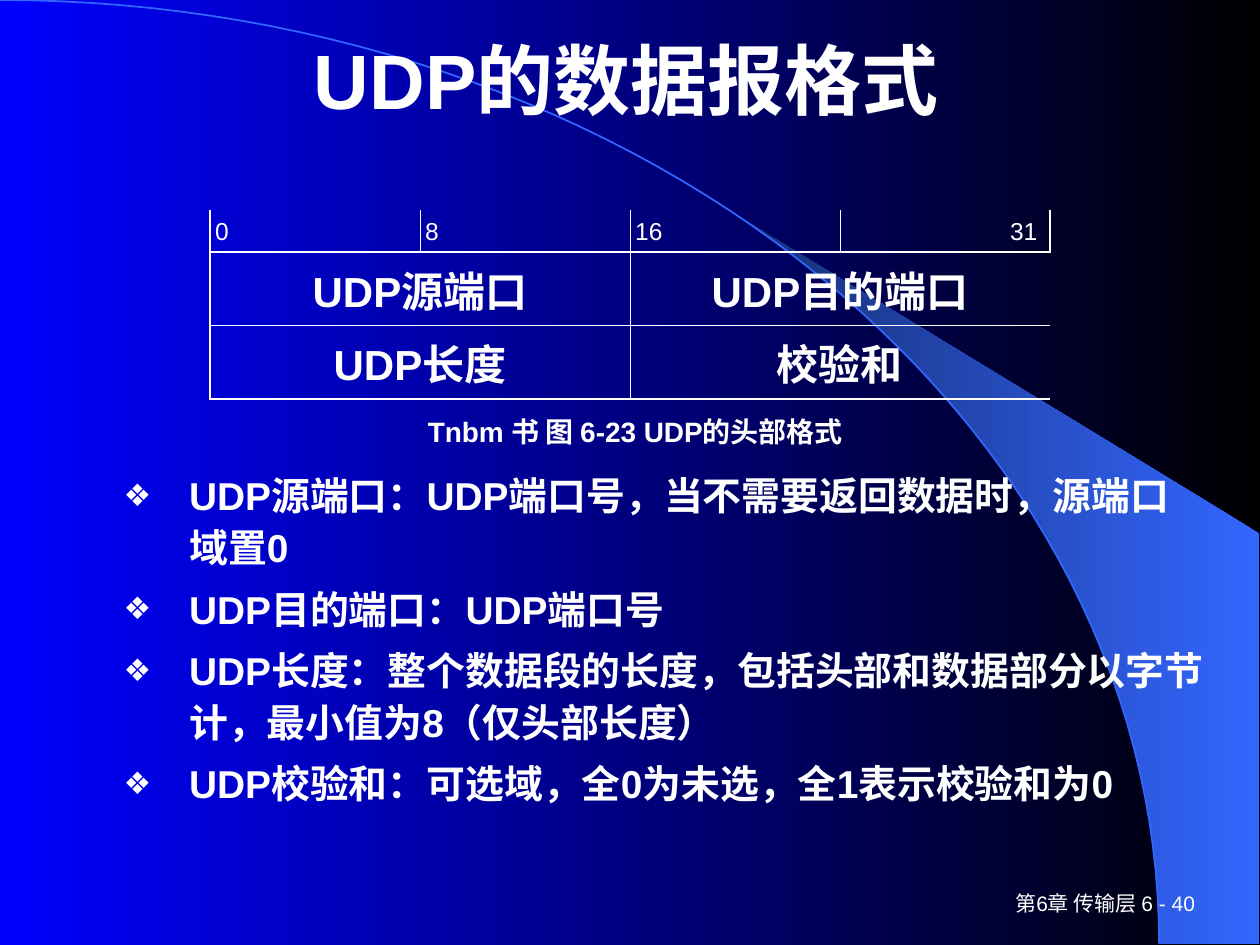
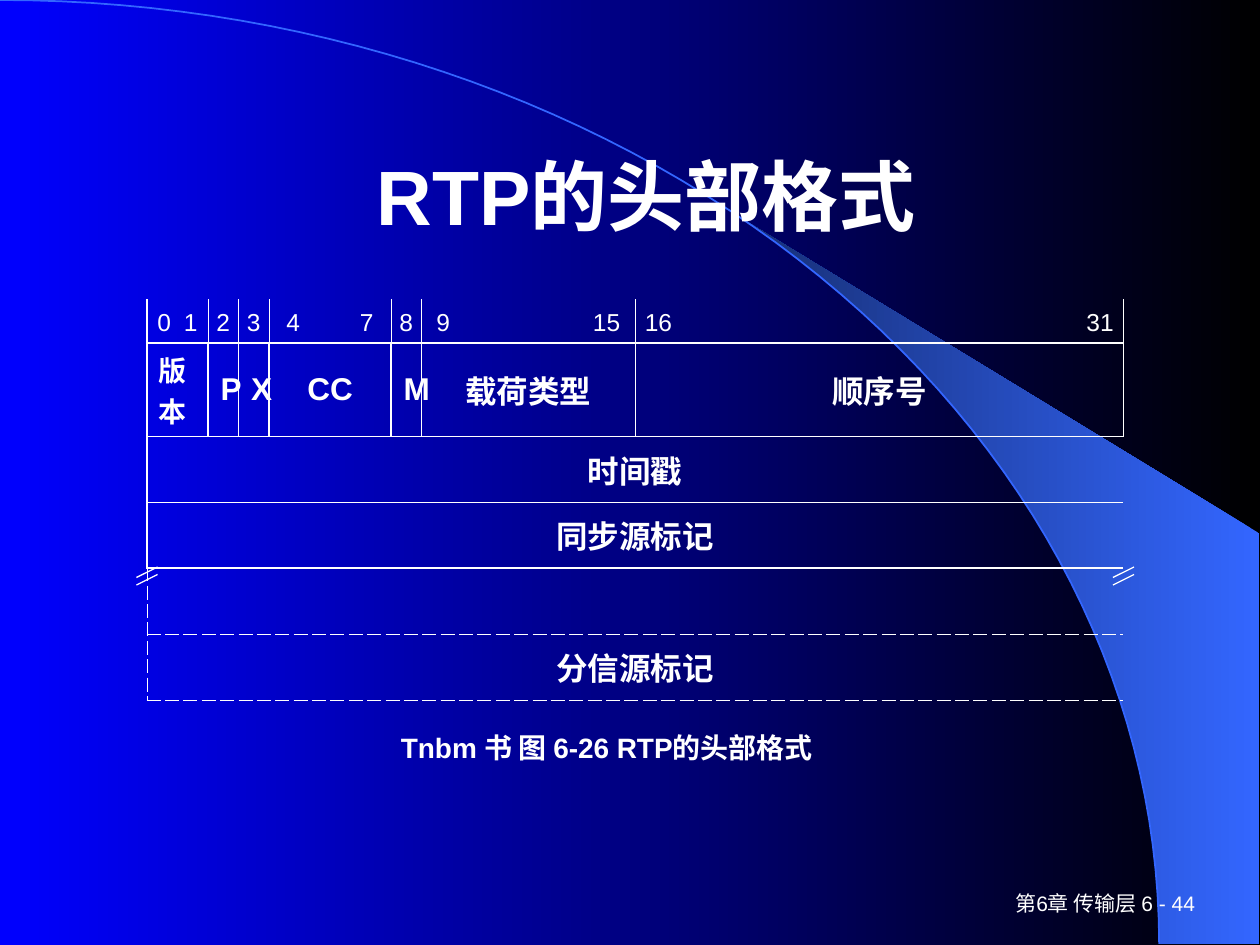
from dataclasses import dataclass
from itertools import accumulate
from math import cos, radians, sin

from lxml import etree
from pptx import Presentation
from pptx.dml.color import RGBColor
from pptx.enum.shapes import MSO_CONNECTOR
from pptx.enum.text import MSO_ANCHOR, MSO_AUTO_SIZE, PP_ALIGN
from pptx.oxml.ns import qn
from pptx.util import Pt

LEFT, CENTER, RIGHT = PP_ALIGN.LEFT, PP_ALIGN.CENTER, PP_ALIGN.RIGHT
TOP, MIDDLE, BOTTOM = MSO_ANCHOR.TOP, MSO_ANCHOR.MIDDLE, MSO_ANCHOR.BOTTOM


@dataclass(frozen=True)
class Theme:
    font: str = "Arial"
    text: str = "FFFFFF"
    night: str = "000000"
    blue: str = "0000FF"
    arc: str = "3366FF"
    wedge_dark: str = "172F75"
    title: float = 44
    body: float = 22.2
    field: float = 24
    small_field: float = 18
    caption: float = 16
    ruler: float = 14
    footer: float = 12
    outer: float = 1.08
    inner: float = 0.75
    thin: float = 0.45


THEME = Theme()


@dataclass
class Field:
    """One table cell; a tab in the text pushes the rest to the right pad."""
    text: str
    bits: int
    align: int = CENTER
    pad: tuple = (7.2, 7.2)
    size: float = THEME.small_field
    bold: bool = True


@dataclass
class Row:
    height: float
    fields: list
    inner: float = THEME.inner
    dashed: bool = False
    anchor: int = MIDDLE


def mark(text, bits, align=CENTER, pad=(1.4, 1.4)):
    """Bit number above the header fields."""
    return Field(text, bits, align, pad, THEME.ruler, False)


def mark_pair(first, last, bits, pad):
    return mark(f"{first}\t{last}", bits, LEFT, (pad, pad))


UDP_TITLE = "UDP的数据报格式"
UDP_CAPTION = "Tnbm 书 图 6-23 UDP的头部格式"
UDP_NOTES = [
    "UDP源端口：UDP端口号，当不需要返回数据时，源端口域置0",
    "UDP目的端口：UDP端口号",
    "UDP长度：整个数据段的长度，包括头部和数据部分以字节计，最小值为8（仅头部长度）",
    "UDP校验和：可选域，全0为未选，全1表示校验和为0",
]
UDP_ROWS = [
    Row(24, [mark(text, 8, LEFT, (3, 7.2)) for text in ("0", "8", "16")]
        + [mark("31", 8, RIGHT, (3, 7.2))], THEME.thin, anchor=BOTTOM),
] + [
    Row(42, [Field(text, 16, size=THEME.field) for text in pair], THEME.thin)
    for pair in (("UDP源端口", "UDP目的端口"), ("UDP长度", "校验和"))
]

RTP_TITLE = "RTP的头部格式"
RTP_CAPTION = "Tnbm 书 图 6-26 RTP的头部格式"
RTP_ROWS = [
    Row(25, [mark_pair("0", "1", 2, 6), mark("2", 1), mark("3", 1),
             mark_pair("4", "7", 4, 10), mark("8", 1),
             mark_pair("9", "15", 7, 8.5), mark_pair("16", "31", 16, 5.5)],
        THEME.thin, anchor=BOTTOM),
    Row(53, [Field("版本", 2, pad=(1.4, 7.2), size=THEME.caption),
             Field("P", 1), Field("X", 1), Field("CC", 4), Field("M", 1),
             Field("载荷类型", 7), Field("顺序号", 16)]),
    Row(37.7, [Field("时间戳", 32)]),
    Row(37.7, [Field("同步源标记", 32)]),
    Row(37.7, [Field("", 32)], dashed=True),
    Row(37.7, [Field("分信源标记", 32)], dashed=True),
]
FOOTER = "第6章 传输层 6 - {}"


def rgb(code):
    return RGBColor.from_string(code)


def place(sp, left, top, width, height):
    sp.left, sp.top, sp.width, sp.height = map(Pt, (left, top, width, height))


def style(p, size, bold=False, align=LEFT):
    p.alignment = align
    for r in p.runs:
        r.font.name, r.font.size, r.font.bold = THEME.font, Pt(size), bold
        r.font.color.rgb = rgb(THEME.text)


def fill_gradient(fill, right, left):
    fill.gradient()
    fill.gradient_angle = 180
    for stop, code in zip(fill.gradient_stops, (right, left)):
        stop.color.rgb = rgb(code)


def add_outline(slide, points, close):
    points = [(Pt(x), Pt(y)) for x, y in points]
    builder = slide.shapes.build_freeform(*points[0], scale=1.0)
    builder.add_line_segments(points[1:], close=close)
    sp = builder.convert_to_shape()
    sp.shadow.inherit = False
    return sp


def decorate_master(prs, slide):
    """Draw the sweep on a slide, then move it to the master behind everything."""
    master = prs.slide_master
    fill_gradient(master.background.fill, THEME.night, THEME.blue)

    def arc_points(start):
        angles = (radians(start + (90 - start) * i / 60) for i in range(61))
        return [(662.4 * sin(a), 539.3 * (1 - cos(a))) for a in angles]

    wedge = add_outline(slide, arc_points(39.8) + [(719.3, 539.3), (719.3, 304.6)], True)
    fill_gradient(wedge.fill, THEME.arc, THEME.wedge_dark)
    wedge.line.fill.background()
    arc = add_outline(slide, arc_points(0), False)
    arc.fill.background()
    arc.line.color.rgb = rgb(THEME.arc)
    arc.line.width = Pt(1)
    for index, sp in enumerate((wedge, arc), start=2):
        master.shapes.element.insert(index, sp.element)


def add_text(slide, text, box, size, bold=False, align=LEFT, anchor=TOP):
    sp = slide.shapes.add_textbox(0, 0, 0, 0)
    place(sp, *box)
    tf = sp.text_frame
    tf.word_wrap = True
    tf.vertical_anchor = anchor
    tf.text = text
    style(tf.paragraphs[0], size, bold, align)


def set_title(slide, text, box):
    sp = slide.shapes.title
    place(sp, *box)
    tf = sp.text_frame
    tf.auto_size = MSO_AUTO_SIZE.NONE
    tf.vertical_anchor = MIDDLE
    tf.text = text
    style(tf.paragraphs[0], THEME.title, True, CENTER)


def set_bullets(sp, items, box):
    place(sp, *box)
    tf = sp.text_frame
    tf.auto_size = MSO_AUTO_SIZE.NONE
    tf.text = "\n".join(items)
    for i, p in enumerate(tf.paragraphs):
        p.line_spacing = 1.1
        p.space_before = Pt(6 if i else 0)
        pPr = p._p.get_or_add_pPr()
        pPr.set("marL", str(Pt(37.5)))
        pPr.set("indent", str(Pt(-37.5)))
        color = etree.SubElement(pPr, qn("a:buClr"))
        etree.SubElement(color, qn("a:srgbClr"), val=THEME.text)
        etree.SubElement(pPr, qn("a:buSzPct"), val="80000")
        etree.SubElement(pPr, qn("a:buChar"), char="❖")
        style(p, THEME.body, True)


def set_border(cell, side, width, dashed=False):
    """Draw one side (L, R, T or B) of a cell; a width of 0 hides it."""
    tcPr = cell._tc.get_or_add_tcPr()
    ln = etree.SubElement(tcPr, qn(f"a:ln{side}"), w=str(Pt(width)))
    if not width:
        etree.SubElement(ln, qn("a:noFill"))
        return
    fill = etree.SubElement(ln, qn("a:solidFill"))
    etree.SubElement(fill, qn("a:srgbClr"), val=THEME.text)
    etree.SubElement(ln, qn("a:prstDash"), val="dash" if dashed else "solid")


def fill_field(cell, field, bit, anchor):
    cell.margin_left, cell.margin_right = map(Pt, field.pad)
    cell.vertical_anchor = anchor
    p = cell.text_frame.paragraphs[0]
    p.text = field.text
    if "\t" in field.text:
        cell.margin_right = 0
        tabs = etree.SubElement(p._p.get_or_add_pPr(), qn("a:tabLst"))
        stop = Pt(field.bits * bit - sum(field.pad))
        etree.SubElement(tabs, qn("a:tab"), pos=str(stop), algn="r")
    style(p, field.size, field.bold, field.align)


def add_header_table(slide, rows, left, top, width):
    """Lay out 32-bit rows; the ruler in the first row sets the columns."""
    bit = width / 32
    edges = list(accumulate((f.bits for f in rows[0].fields), initial=0))
    height = sum(row.height for row in rows)
    table = slide.shapes.add_table(len(rows), len(edges) - 1,
                                   *map(Pt, (left, top, width, height))).table
    table.first_row = table.horz_banding = False
    for column, field in zip(table.columns, rows[0].fields):
        column.width = Pt(field.bits * bit)
    for i, row in enumerate(rows):
        table.rows[i].height = Pt(row.height)
        next_dashed = i + 1 < len(rows) and rows[i + 1].dashed
        # The ruler, the last solid row and the table end carry the heavy line.
        heavy = i in (0, len(rows) - 1) or next_dashed
        below = THEME.outer if heavy else row.inner
        if row.dashed:
            below = THEME.thin
        above = 0 if i == 0 else previous_below
        above_dashed = i > 0 and rows[i - 1].dashed
        start = 0
        for field in row.fields:
            first = edges.index(start)
            start += field.bits
            last = edges.index(start) - 1
            origin = table.cell(i, first)
            if last > first:
                origin.merge(table.cell(i, last))
            fill_field(origin, field, bit, row.anchor)
            for c in range(first, last + 1):
                cell = table.cell(i, c)
                outer = THEME.thin if row.dashed else THEME.outer
                left_line = outer if c == 0 else row.inner
                right_line = outer if c == len(edges) - 2 else row.inner
                set_border(cell, "L", left_line if c == first else 0, row.dashed)
                set_border(cell, "R", right_line if c == last else 0, row.dashed)
                set_border(cell, "T", above, above_dashed)
                set_border(cell, "B", below, row.dashed)
                cell.fill.background()
        previous_below = below


def add_break_mark(slide, x, y):
    """Two short slanted strokes across a table edge."""
    for top in (y, y + 4.3):
        line = slide.shapes.add_connector(
            MSO_CONNECTOR.STRAIGHT, *map(Pt, (x + 6, top, x - 6, top + 6)))
        line.line.color.rgb = rgb(THEME.text)
        line.line.width = Pt(THEME.inner)
        etree.SubElement(line.element.spPr, qn("a:effectLst"))


def add_footer(slide, page):
    add_text(slide, FOOTER.format(page), (540, 504, 150, 24), THEME.footer,
             align=RIGHT, anchor=MIDDLE)


def build_udp(slide):
    set_title(slide, UDP_TITLE, (52, 17, 612, 55.5))
    add_header_table(slide, UDP_ROWS, 120, 120, 480)
    add_text(slide, UDP_CAPTION, (198, 233.3, 330, 24.5), THEME.caption, True, CENTER)
    set_bullets(slide.placeholders[1], UDP_NOTES, (63.4, 263.5, 632, 234))
    add_footer(slide, 40)


def build_rtp(slide):
    left, width = 84, 558
    set_title(slide, RTP_TITLE, (63.4, 66, 612, 90))
    add_header_table(slide, RTP_ROWS, left, 171, width)
    for x in (left, left + width):
        add_break_mark(slide, x, 324)
    add_text(slide, RTP_CAPTION, (222, 414, 287, 26.5), THEME.caption, True)
    add_footer(slide, 44)


def main():
    prs = Presentation()
    prs.slide_width, prs.slide_height = Pt(720), Pt(540)
    udp = prs.slides.add_slide(prs.slide_layouts[1])
    rtp = prs.slides.add_slide(prs.slide_layouts[5])
    decorate_master(prs, udp)
    build_udp(udp)
    build_rtp(rtp)
    prs.save("out.pptx")


if __name__ == "__main__":
    main()
